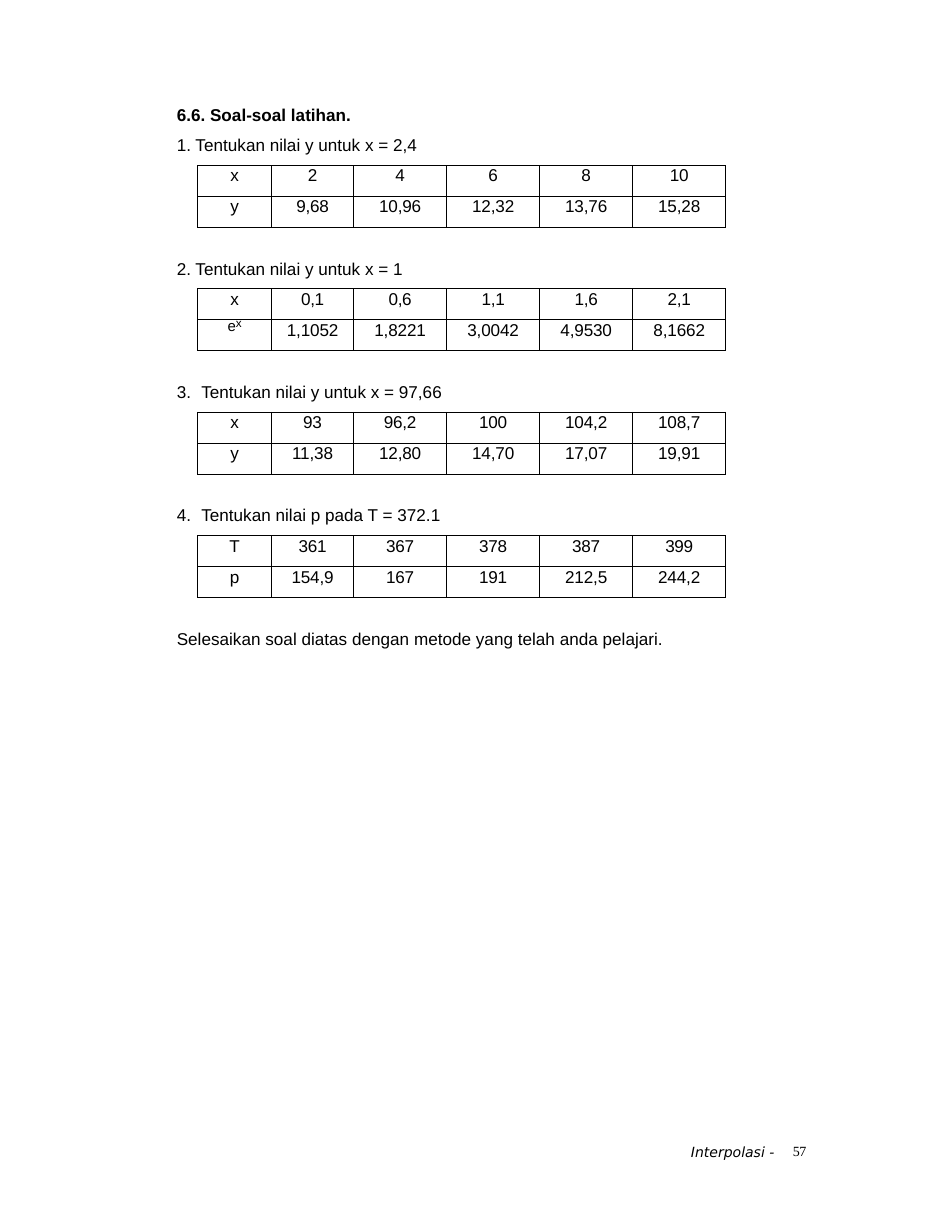
from lxml.etree import SubElement as Sub
from pptx import Presentation
from pptx.dml.color import RGBColor as Rgb
from pptx.enum.text import MSO_AUTO_SIZE as Auto, PP_ALIGN as Align
from pptx.oxml.ns import qn
from pptx.util import Cm, Pt

BLACK = "000000"
LEFT = 3.99
TOP, PITCH = 3.75, 2.8          # first table, step to the next block
COLS = [1.68, 1.86] + [2.11] * 4
ROW = 0.7

# Number, extra gap after it in points, question, box width, table rows
TASKS = [
    ("1.", 0, "Tentukan nilai y untuk x = 2,4", 5.69,
     [["x", "2", "4", "6", "8", "10"],
      ["y", "9,68", "10,96", "12,32", "13,76", "15,28"]]),
    ("2.", 0, "Tentukan nilai y untuk x = 1", 5.36,
     [["x", "0,1", "0,6", "1,1", "1,6", "2,1"],
      ["ex", "1,1052", "1,8221", "3,0042", "4,9530", "8,1662"]]),
    ("3.", 3.5, "Tentukan nilai y untuk x = 97,66", 6.25,
     [["x", "93", "96,2", "100", "104,2", "108,7"],
      ["y", "11,38", "12,80", "14,70", "17,07", "19,91"]]),
    ("4.", 3.5, "Tentukan nilai p pada T = 372.1", 6.22,
     [["T", "361", "367", "378", "387", "399"],
      ["p", "154,9", "167", "191", "212,5", "244,2"]]),
]


def color(code):
    return Rgb.from_string(code)


def style(para, size=11, name="Arial", bold=False, italic=False):
    font = para.font
    font.size, font.name = Pt(size), name
    font.bold, font.italic = bold, italic
    font.color.rgb = color(BLACK)


def add_run(para, text, space=0):
    run = para.add_run()
    run.text = text
    if space:
        run._r.get_or_add_rPr().set("spc", str(round(space * 100)))
    return run


def add_text(slide, box, lines, inset=0.04, indent=0.02, **look):
    """Each line is a list of (text, letter spacing) runs."""
    left, top, width, height = map(Cm, box)
    frame = slide.shapes.add_textbox(left, top, width, height).text_frame
    frame.word_wrap = True
    frame.auto_size = Auto.SHAPE_TO_FIT_TEXT
    frame.margin_left = frame.margin_right = frame.margin_bottom = 0
    frame.margin_top = Cm(inset)
    for i, line in enumerate(lines):
        para = frame.add_paragraph() if i else frame.paragraphs[0]
        for text, space in line:
            add_run(para, text, space)
        props = para._p.get_or_add_pPr()
        props.set("marL", str(Cm(indent)))
        props.set("indent", "0")
        style(para, **look)
    return frame


def add_border(cell):
    props = cell._tc.get_or_add_tcPr()
    for side in ("lnL", "lnR", "lnT", "lnB"):
        line = Sub(props, qn("a:" + side), w=str(Pt(0.5)))
        fill = Sub(line, qn("a:solidFill"))
        Sub(fill, qn("a:srgbClr"), val=BLACK)


def add_power(para):
    # Lowered large base, then a small exponent
    para.line_spacing = Pt(9.7)
    for text, size, base in (("e", 16.5, "-18000"), ("x", 7.5, "0")):
        run = add_run(para, text)
        run.font.size = Pt(size)
        run._r.get_or_add_rPr().set("baseline", base)


def fill_cell(cell, text):
    cell.margin_left = cell.margin_right = 0
    cell.margin_top = cell.margin_bottom = 0
    add_border(cell)
    cell.fill.background()
    para = cell.text_frame.paragraphs[0]
    para.alignment = Align.CENTER
    para.line_spacing = Pt(12.9)
    style(para)
    if text == "ex":
        add_power(para)
    elif len(text) > 1:
        add_run(para, text, -0.1 if len(text) > 4 else -0.2)
    else:
        add_run(para, text)


def add_grid(slide, top, rows):
    table = slide.shapes.add_table(
        len(rows), len(COLS), Cm(4.48), Cm(top),
        Cm(sum(COLS)), Cm(ROW * len(rows))).table
    table.first_row = table.horz_banding = False
    for col, width in zip(table.columns, COLS):
        col.width = Cm(width)
    for r, row in enumerate(rows):
        table.rows[r].height = Cm(ROW)
        for c, text in enumerate(row):
            fill_cell(table.cell(r, c), text)


def main():
    deck = Presentation()
    deck.slide_width, deck.slide_height = Cm(21.59), Cm(27.94)
    slide = deck.slides.add_slide(deck.slide_layouts[6])

    # Footer
    add_text(slide, (14.3, 25.9, 4.19, 0.5), [[("57", -0.2)]], inset=0,
             indent=3.68, size=9, name="Times New Roman")
    add_text(slide, (15.65, 25.9, 2.11, 0.48), [[("Interpolasi -", 0)]],
             size=9, name="DejaVu Sans", italic=True)

    # Exercises: the first question shares a box with the heading
    for i, (num, gap, ask, width, rows) in enumerate(TASKS):
        top = TOP + i * PITCH
        line = [(num, 0), (" ", gap), (ask, 0)]
        if i:
            add_text(slide, (LEFT, top - 0.74, width, 0.56), [line])
        else:
            title = [("6.6. Soal-soal latihan.", 0)]
            frame = add_text(slide, (LEFT, 2.11, width, 1.45),
                             [title, line], inset=0.25)
            head, first = frame.paragraphs
            head.font.bold = True
            first.space_before = Pt(6.2)
        add_grid(slide, top, rows)

    # Closing line
    end = TOP + len(TASKS) * PITCH - 0.74
    close = "Selesaikan soal diatas dengan metode yang telah anda pelajari."
    add_text(slide, (LEFT, end, 11.35, 0.56), [[(close, 0)]])
    deck.save("out.pptx")


if __name__ == "__main__":
    main()
